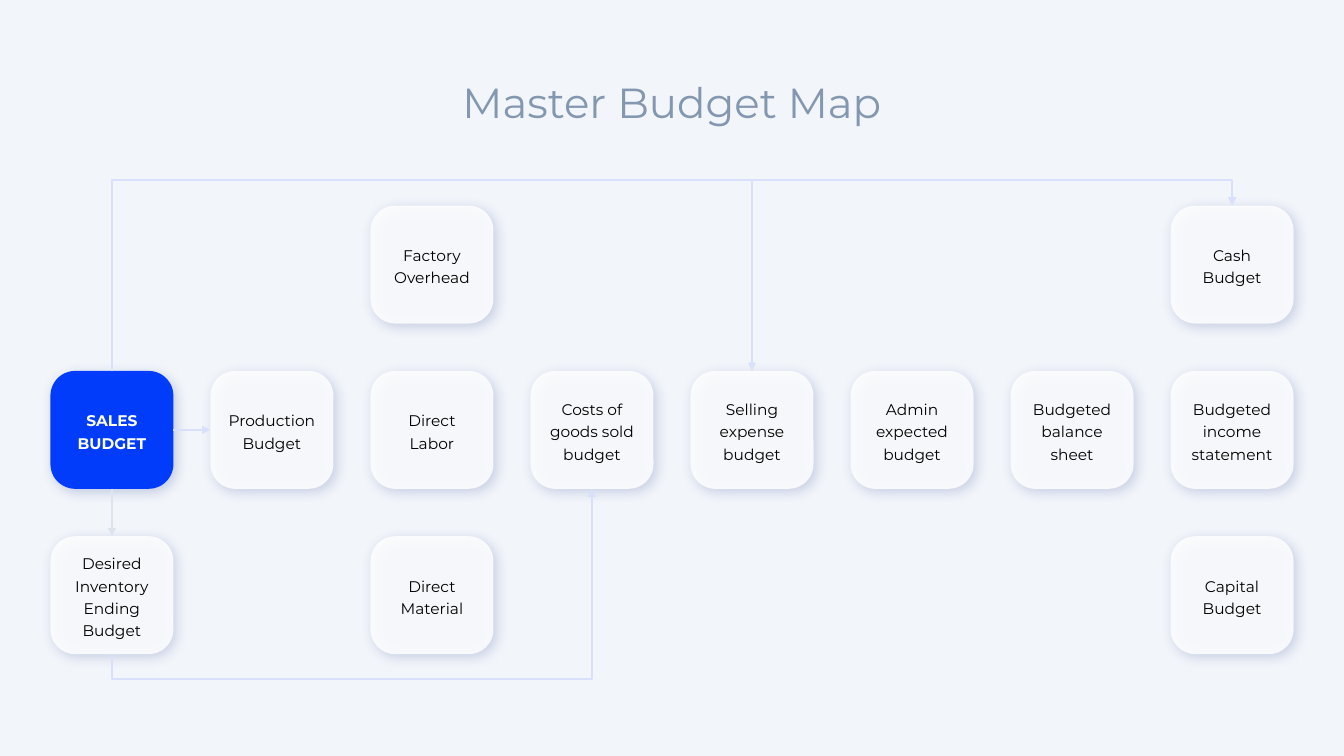
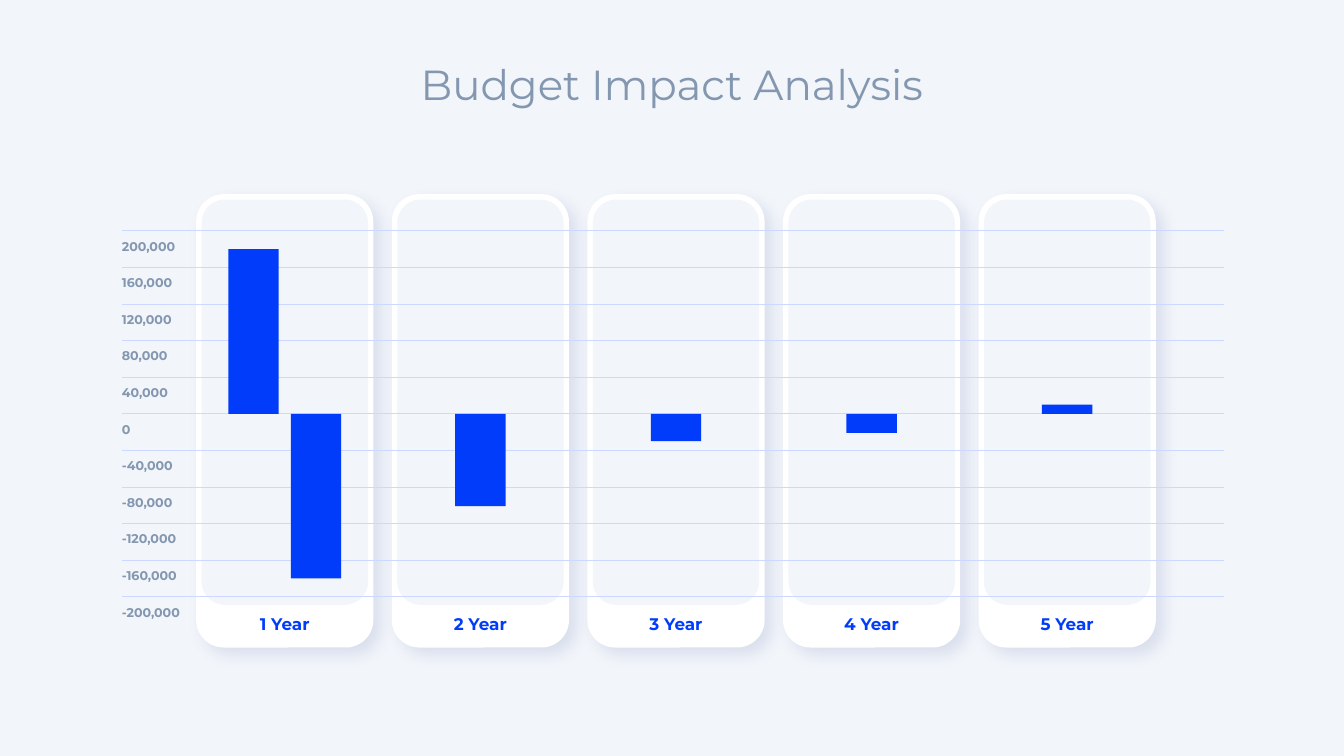
"""Build a master budget map and a budget impact chart as two slides."""
from dataclasses import dataclass
from typing import Any, Optional

import lxml.etree
import pptx
import pptx.dml.color
import pptx.enum.shapes
import pptx.enum.text
import pptx.oxml.ns
import pptx.presentation
import pptx.slide
import pptx.util
from pptx.util import Inches

qn = pptx.oxml.ns.qn
Preset = pptx.enum.shapes.MSO_SHAPE
Route = pptx.enum.shapes.MSO_CONNECTOR
Anchor = pptx.enum.text.MSO_ANCHOR
Align = pptx.enum.text.PP_ALIGN


@dataclass(frozen=True)
class Theme:
    font: str = "Montserrat"
    paper: str = "F2F5FA"
    white: str = "FFFFFF"
    ink: str = "000000"
    accent: str = "013CFB"
    muted: str = "8497B0"
    route: str = "D9E0FB"
    route_grey: str = "DDE4EE"
    rule: str = "CCD8FF"
    shadow: str = "001E7E"
    title_size: float = 30
    year_size: float = 12
    card_size: float = 11
    label_size: float = 9


@dataclass(frozen=True)
class Shadow:
    opacity: int
    blur: float
    distance: float


@dataclass(frozen=True)
class Card:
    text: str
    column: int
    row: int
    main: bool = False


@dataclass(frozen=True)
class Year:
    text: str
    values: tuple[int, ...]


THEME = Theme()
SLIDE_WIDTH, SLIDE_HEIGHT = 13.33, 7.5
CARD_SHADOW = Shadow(20, 9, 3)
PANEL_SHADOW = Shadow(10, 11, 7)

CARD_WIDTH, CARD_HEIGHT = 1.22, 1.17
MAP_LEFT, MAP_TOP, ROW_PITCH = 0.5, 2.04, 1.64
COLUMN_PITCH = (SLIDE_WIDTH - 2 * MAP_LEFT - CARD_WIDTH) / 7
ROUTE_TOP, ROUTE_BOTTOM = 1.79, 6.74

SALES = Card("SALES BUDGET", 0, 1, main=True)
INVENTORY = Card("Desired Inventory Ending Budget", 0, 2)
PRODUCTION = Card("Production Budget", 1, 1)
COSTS = Card("Costs of goods sold budget", 3, 1)
SELLING = Card("Selling expense budget", 4, 1)
CASH = Card("Cash Budget", 7, 0)
CARDS = (
    SALES, PRODUCTION, Card("Direct Labor", 2, 1), COSTS, SELLING,
    Card("Admin expected budget", 5, 1), Card("Budgeted balance sheet", 6, 1),
    Card("Budgeted income statement", 7, 1), Card("Factory Overhead", 2, 0), CASH,
    INVENTORY, Card("Direct Material", 2, 2), Card("Capital Budget", 7, 2),
)

YEARS = (
    Year("1 Year", (180_000, -180_000)),
    Year("2 Year", (-101_000,)),
    Year("3 Year", (-30_000,)),
    Year("4 Year", (-21_000,)),
    Year("5 Year", (10_000,)),
)
PANEL_LEFT, PANEL_TOP, PANEL_PITCH = 1.96, 1.94, 1.94
PANEL_WIDTH, PANEL_HEIGHT, PANEL_EDGE = 1.73, 4.47, 0.04
BAR_WIDTH, BAR_GAP = 0.5, 0.12
GRID_LEFT, GRID_TOP, GRID_WIDTH, GRID_HEIGHT, GRID_ROWS = 1.21, 2.29, 10.93, 3.63, 10
GRID_STEP = GRID_HEIGHT / GRID_ROWS
VALUE_STEP = 40_000


def colour(code: str) -> pptx.dml.color.RGBColor:
    return pptx.dml.color.RGBColor.from_string(code)


def child(parent: Any, tag: str, **attributes: Any) -> Any:
    values = {name: str(value) for name, value in attributes.items()}
    return lxml.etree.SubElement(parent, qn(tag), values)


def write_text(box: Any, text: str, *, size: float, color: str, bold: bool = False,
               align: Any = Align.CENTER, anchor: Any = Anchor.TOP, spacing: Optional[float] = None,
               wrap: bool = True, inset: float = 0.1, bottom: float = 0.05) -> None:
    frame = box.text_frame
    frame.word_wrap = wrap
    frame.vertical_anchor = anchor
    frame.margin_left = frame.margin_right = Inches(inset)
    frame.margin_top, frame.margin_bottom = Inches(0.05), Inches(bottom)
    para = frame.paragraphs[0]
    para.alignment = align
    if spacing:
        para.line_spacing = pptx.util.Pt(spacing)
    span = para.add_run()
    span.text = text
    span.font.name, span.font.size, span.font.bold = THEME.font, pptx.util.Pt(size), bold
    span.font.color.rgb = colour(color)


def add_block(page: pptx.slide.Slide, preset: Any, left: float, top: float, width: float,
              height: float, fill: str, *, corner: Optional[float] = None,
              opacity: int = 100, shadow: Optional[Shadow] = None) -> Any:
    shape = page.shapes.add_shape(preset, Inches(left), Inches(top), Inches(width), Inches(height))
    if corner is not None:
        shape.adjustments[0] = corner
    shape.fill.solid()
    shape.fill.fore_color.rgb = colour(fill)
    shape.line.fill.background()
    shape.shadow.inherit = False
    properties = shape._element.spPr
    if opacity < 100:
        child(properties.find(qn("a:solidFill"))[0], "a:alpha", val=opacity * 1000)
    if shadow:
        outer = child(properties.find(qn("a:effectLst")), "a:outerShdw",
                      blurRad=pptx.util.Pt(shadow.blur), dist=pptx.util.Pt(shadow.distance),
                      dir=45 * 60000, algn="tl", rotWithShape=0)
        tint = child(outer, "a:srgbClr", val=THEME.shadow)
        child(tint, "a:alpha", val=shadow.opacity * 1000)
    return shape


def add_arrow(page: pptx.slide.Slide, route: Any, start: tuple[int, int], end: tuple[int, int],
              color: str = THEME.route) -> Any:
    arrow = page.shapes.add_connector(route, *start, *end)
    arrow.line.color.rgb = colour(color)
    arrow.line.width = pptx.util.Pt(1.5)
    properties = arrow._element.spPr
    child(properties.find(qn("a:ln")), "a:tailEnd", type="triangle")
    child(properties, "a:effectLst")
    return arrow


def add_detour(page: pptx.slide.Slide, start: tuple[int, int], end: tuple[int, int],
               level: float) -> None:
    """Draw an elbow arrow from lower left to upper right by way of a level outside both."""
    arrow = add_arrow(page, Route.ELBOW, start, end)
    across, rise = end[0] - start[0], start[1] - end[1]
    arrow.left = (start[0] + end[0] - rise) // 2
    arrow.top = (start[1] + end[1] - across) // 2
    arrow.width, arrow.height = rise, across
    properties = arrow._element.spPr
    frame = properties.find(qn("a:xfrm"))
    for name, value in (("rot", "5400000"), ("flipH", "1"), ("flipV", "1")):
        frame.set(name, value)
    bend = round((start[1] - Inches(level)) / rise * 100000)
    guides = properties.find(qn("a:prstGeom")).find(qn("a:avLst"))
    child(guides, "a:gd", name="adj1", fmla=f"val {bend}")


def side(shape: Any, site: int) -> tuple[int, int]:
    """Return the middle of a side: 0 top, 1 left, 2 bottom, 3 right."""
    x = shape.left + (shape.width // 2, 0, shape.width // 2, shape.width)[site]
    y = shape.top + (0, shape.height // 2, shape.height, shape.height // 2)[site]
    return x, y


def add_link(page: pptx.slide.Slide, source: Any, source_site: int, target: Any,
             target_site: int, color: str = THEME.route) -> None:
    arrow = add_arrow(page, Route.STRAIGHT, side(source, source_site),
                      side(target, target_site), color)
    arrow.begin_connect(source, source_site)
    arrow.end_connect(target, target_site)


def add_page(deck: pptx.presentation.Presentation, title: str, top: float,
             spacing: Optional[float] = None, wrap: bool = True) -> pptx.slide.Slide:
    page = deck.slides.add_slide(deck.slide_layouts[6])
    page.background.fill.solid()
    page.background.fill.fore_color.rgb = colour(THEME.paper)
    width = 8.24
    box = page.shapes.add_textbox(Inches((SLIDE_WIDTH - width) / 2), Inches(top),
                                  Inches(width), Inches(0.62))
    write_text(box, title, size=THEME.title_size, color=THEME.muted, spacing=spacing, wrap=wrap)
    return page


def add_card(page: pptx.slide.Slide, card: Card) -> Any:
    box = add_block(page, Preset.ROUNDED_RECTANGLE, MAP_LEFT + card.column * COLUMN_PITCH,
                    MAP_TOP + card.row * ROW_PITCH, CARD_WIDTH, CARD_HEIGHT,
                    THEME.accent if card.main else THEME.white, corner=0.21,
                    opacity=100 if card.main else 85, shadow=CARD_SHADOW)
    write_text(box, card.text, size=THEME.card_size, bold=card.main, spacing=16,
               color=THEME.white if card.main else THEME.ink, anchor=Anchor.MIDDLE)
    return box


def build_map(deck: pptx.presentation.Presentation) -> None:
    page = add_page(deck, "Master Budget Map", 0.65, spacing=40)
    boxes = {card: add_card(page, card) for card in CARDS}
    add_link(page, boxes[SALES], 3, boxes[PRODUCTION], 1)
    add_link(page, boxes[SALES], 2, boxes[INVENTORY], 0, THEME.route_grey)
    add_detour(page, side(boxes[INVENTORY], 2), side(boxes[COSTS], 2), ROUTE_BOTTOM)
    add_detour(page, side(boxes[SALES], 0), side(boxes[CASH], 0), ROUTE_TOP)
    target = side(boxes[SELLING], 0)
    branch = add_arrow(page, Route.STRAIGHT, (target[0], Inches(ROUTE_TOP)), target)
    branch.end_connect(boxes[SELLING], 0)


def add_panel(page: pptx.slide.Slide, year: Year, left: float) -> None:
    panel = add_block(page, Preset.ROUNDED_RECTANGLE, left, PANEL_TOP, PANEL_WIDTH, PANEL_HEIGHT,
                      THEME.white, corner=0.15, shadow=PANEL_SHADOW)
    panel.line.color.rgb = colour(THEME.white)
    panel.line.width = pptx.util.Pt(2)
    write_text(panel, year.text, size=THEME.year_size, color=THEME.accent, bold=True,
               anchor=Anchor.BOTTOM, bottom=0.04)
    add_block(page, Preset.ROUNDED_RECTANGLE, left + PANEL_EDGE, PANEL_TOP + PANEL_EDGE,
              PANEL_WIDTH - 2 * PANEL_EDGE, 4.02, THEME.paper, corner=0.14)


def add_grid(page: pptx.slide.Slide) -> None:
    table = page.shapes.add_table(GRID_ROWS, 1, Inches(GRID_LEFT), Inches(GRID_TOP),
                                  Inches(GRID_WIDTH), Inches(GRID_HEIGHT)).table
    table.first_row = table.horz_banding = False
    for row in table.rows:
        row.height = Inches(GRID_STEP)
        cell = row.cells[0]
        cell.margin_top = cell.margin_bottom = 0
        properties = cell._tc.get_or_add_tcPr()
        for tag in ("a:lnL", "a:lnR"):
            child(child(properties, tag), "a:noFill")
        for tag in ("a:lnT", "a:lnB"):
            border = child(properties, tag, w=pptx.util.Pt(0.75))
            child(child(border, "a:solidFill"), "a:srgbClr", val=THEME.rule)
        cell.fill.background()


def add_bars(page: pptx.slide.Slide, year: Year, panel_left: float) -> None:
    zero = GRID_TOP + GRID_HEIGHT / 2
    pitch = BAR_WIDTH + BAR_GAP
    left = panel_left + (PANEL_WIDTH - len(year.values) * pitch + BAR_GAP) / 2
    for index, value in enumerate(year.values):
        height = abs(value) / VALUE_STEP * GRID_STEP
        top = zero - height if value > 0 else zero
        add_block(page, Preset.RECTANGLE, left + index * pitch, top, BAR_WIDTH, height,
                  THEME.accent)


def build_impact(deck: pptx.presentation.Presentation) -> None:
    page = add_page(deck, "Budget Impact Analysis", 0.53, wrap=False)
    lefts = [PANEL_LEFT + index * PANEL_PITCH for index in range(len(YEARS))]
    for year, left in zip(YEARS, lefts):
        add_panel(page, year, left)
    add_grid(page)
    for index in range(GRID_ROWS + 1):
        box = page.shapes.add_textbox(Inches(GRID_LEFT), Inches(2.32 + index * GRID_STEP),
                                      Inches(0.7), Inches(0.16))
        value = (GRID_ROWS // 2 - index) * VALUE_STEP
        write_text(box, f"{value:,}", size=THEME.label_size, color=THEME.muted, bold=True,
                   align=Align.LEFT, anchor=Anchor.MIDDLE, spacing=16.8, inset=0)
    for year, left in zip(YEARS, lefts):
        add_bars(page, year, left)


def main() -> None:
    deck = pptx.Presentation()
    deck.slide_width, deck.slide_height = Inches(SLIDE_WIDTH), Inches(SLIDE_HEIGHT)
    build_map(deck)
    build_impact(deck)
    deck.save("out.pptx")


if __name__ == "__main__":
    main()
